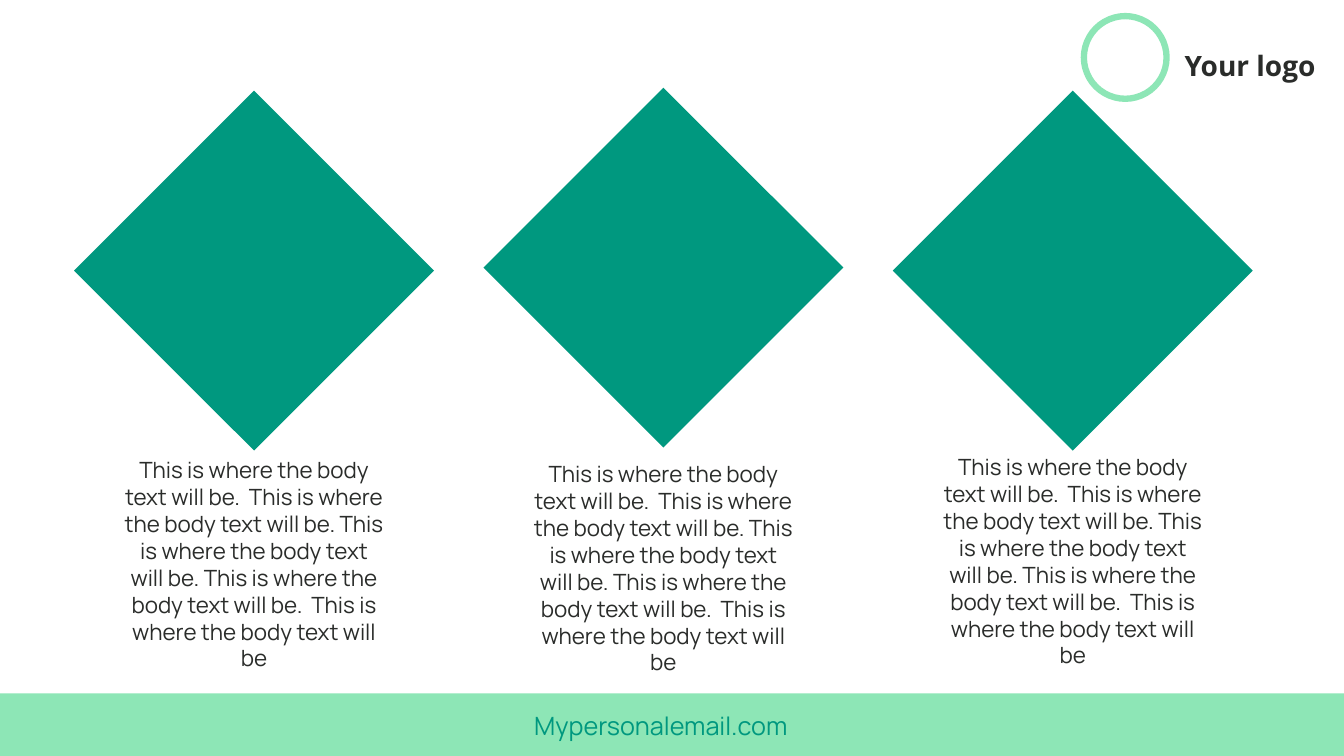
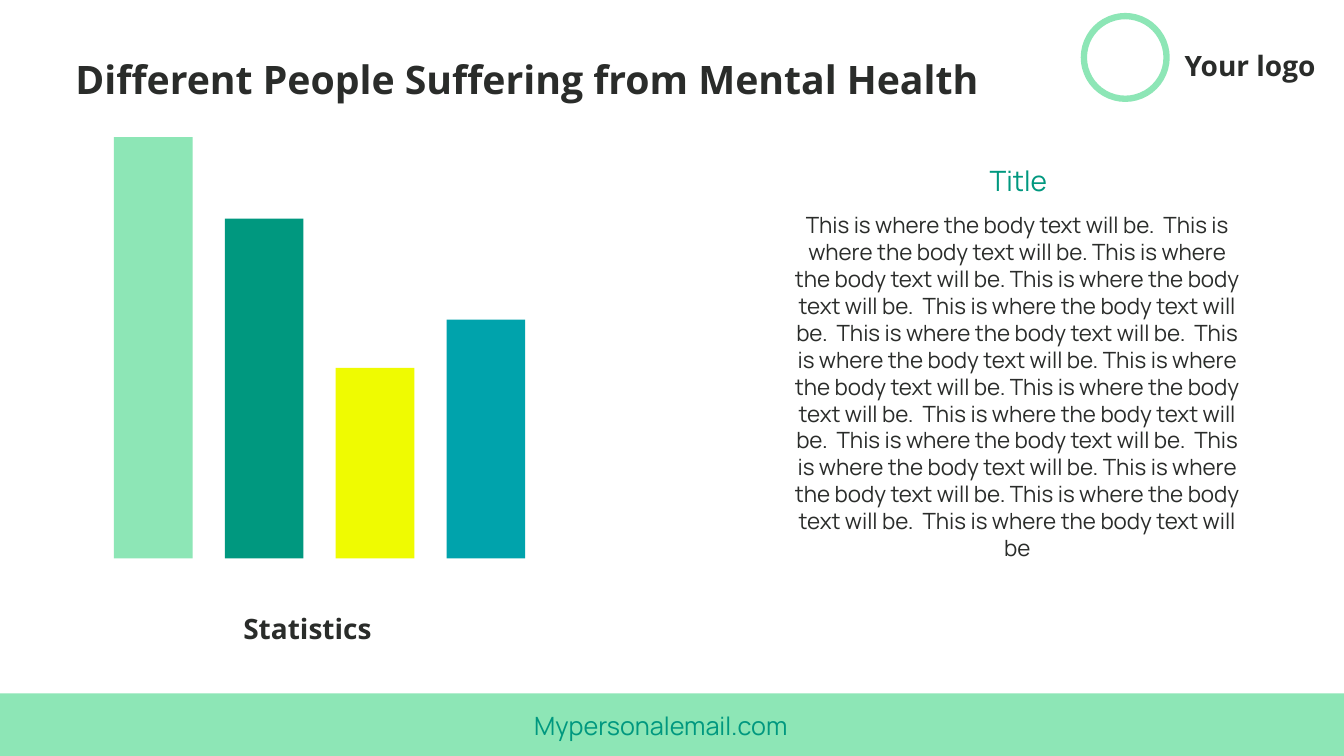
from pptx import Presentation
from pptx.dml.color import RGBColor as Rgb
from pptx.enum.shapes import MSO_SHAPE as Kind
from pptx.enum.text import PP_ALIGN as Align
from pptx.util import Inches, Pt

# Shared look
MINT, GREEN, YELLOW, TEAL = "8DE6B6", "00987F", "EFFB01", "00A3AC"
INK = "2A2C2A"
HEAD, BODY = "Open Sans", "Manrope"
WIDE, HIGH = 13.33, 7.5
LINE = "This is where the body text will be"
BLOCK = f"{LINE}.  {LINE}. {LINE}. {LINE}.  {LINE}"


def paint(fmt, color):
    """Give a fill, or the fill of a line, a solid colour."""
    fmt.solid()
    fmt.fore_color.rgb = Rgb.from_string(color)


def add_text(slide, text, box, size, font=BODY, color=INK, bold=False,
             align=Align.LEFT):
    frame = slide.shapes.add_textbox(*map(Inches, box)).text_frame
    frame.word_wrap = True
    frame.text = text
    para = frame.paragraphs[0]
    para.alignment = align
    style = para.runs[0].font
    style.name, style.size, style.bold = font, Pt(size), bold
    style.color.rgb = Rgb.from_string(color)


def add_shape(slide, kind, box, fill=None, line=None):
    shape = slide.shapes.add_shape(kind, *map(Inches, box))
    shape.shadow.inherit = False
    if fill:
        paint(shape.fill, fill)
    else:
        shape.fill.background()
    if line:
        paint(shape.line.fill, line)
        shape.line.width = Pt(4.5)
    else:
        shape.line.fill.background()


def add_bars(slide, left, base, bars):
    """Stand (height, colour) bars on one base line at an equal pitch."""
    width, pitch = 0.78, 1.1
    for i, (tall, color) in enumerate(bars):
        box = (left + pitch * i, base - tall, width, tall)
        add_shape(slide, Kind.RECTANGLE, box, color)


def new_slide(deck):
    """Add a slide with the footer band and the logo spot."""
    slide = deck.slides.add_slide(deck.slide_layouts[6])
    add_shape(slide, Kind.RECTANGLE, (0, 6.88, WIDE, 0.64), MINT)
    add_text(slide, "Mypersonalemail.com", (5.2, 7, 2.94, 0.4), 18,
             color=GREEN)
    add_shape(slide, Kind.OVAL, (10.75, 0.16, 0.82, 0.82), line=MINT)
    add_text(slide, "Your logo", (11.65, 0.43, 1.68, 0.44), 20, HEAD,
             bold=True)
    return slide


def add_trio(deck):
    slide = new_slide(deck)
    side, width = 3.57, 2.8
    # Top of the diamond and of the text in each column
    tops = [(0.9, 4.48), (0.87, 4.52), (0.9, 4.45)]
    for i, (top, below) in enumerate(tops):
        mid = 2.52 + 4.06 * i
        add_shape(slide, Kind.DIAMOND, (mid - side / 2, top, side, side),
                  GREEN)
        add_text(slide, BLOCK, (mid - width / 2, below, width, 2.26), 16,
                 align=Align.CENTER)


def add_stats(deck):
    slide = new_slide(deck)
    add_text(slide, "Different People Suffering from Mental Health",
             (0.65, 0.5, 10.54, 0.57), 28, HEAD, bold=True)

    # Bars and caption
    bars = [(4.18, MINT), (3.37, GREEN), (1.89, YELLOW), (2.37, TEAL)]
    add_bars(slide, 1.13, 5.54, bars)
    add_text(slide, "Statistics", (2.21, 6.02, 1.68, 0.44), 20, HEAD,
             bold=True, align=Align.CENTER)

    # Text column
    add_text(slide, "Title", (9.26, 1.57, 1.68, 0.44), 20, color=GREEN,
             align=Align.CENTER)
    add_text(slide, ".  ".join([BLOCK] * 3), (7.77, 2.05, 4.64, 4.15), 16,
             align=Align.CENTER)


def main():
    deck = Presentation()
    deck.slide_width, deck.slide_height = Inches(WIDE), Inches(HIGH)
    add_trio(deck)
    add_stats(deck)
    deck.save("out.pptx")


if __name__ == "__main__":
    main()
